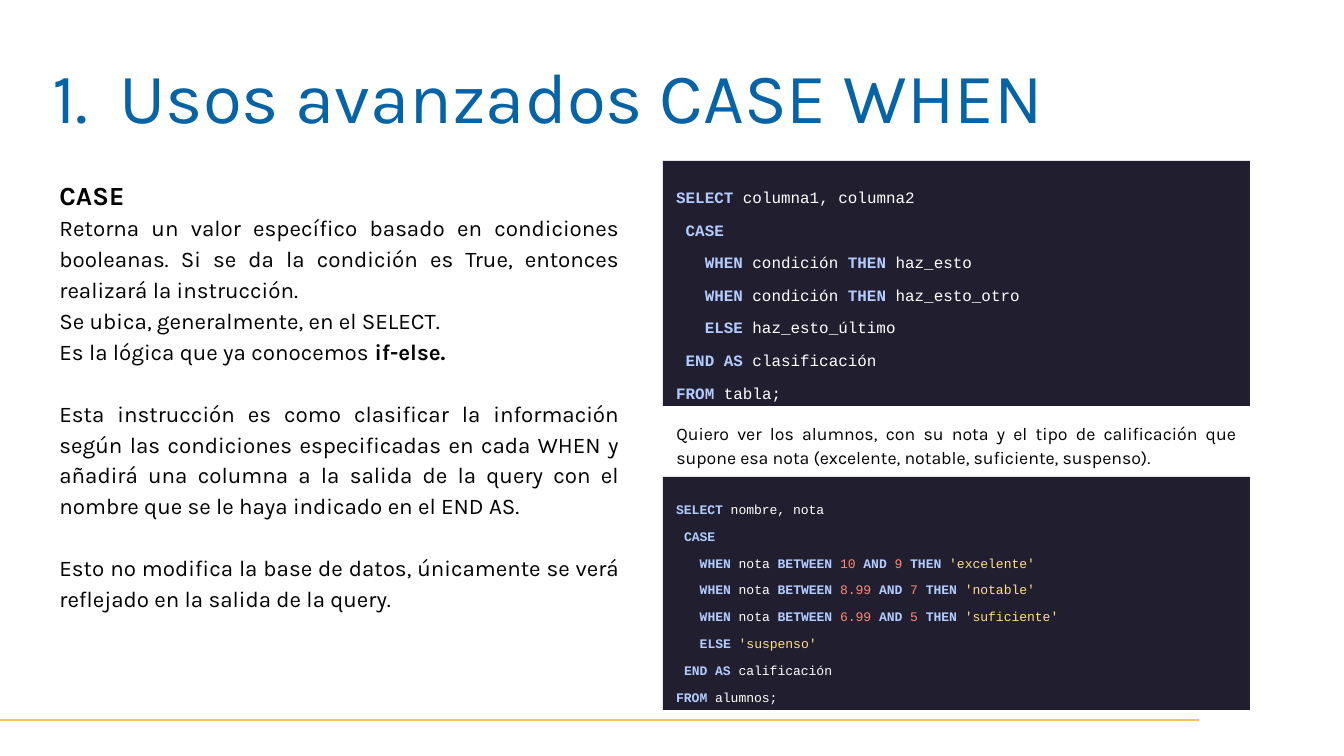
from lxml.etree import SubElement
from pptx import Presentation
from pptx.dml.color import RGBColor
from pptx.enum.shapes import MSO_CONNECTOR, MSO_SHAPE
from pptx.enum.text import MSO_ANCHOR, MSO_AUTO_SIZE, PP_ALIGN
from pptx.oxml.ns import qn
from pptx.util import Pt

PX = 914400 / 134.4
BLUE = RGBColor(0x05, 0x63, 0xA6)
GOLD = RGBColor(0xF5, 0xC2, 0x57)
BLACK = RGBColor(0, 0, 0)
WHITE = RGBColor(255, 255, 255)
NIGHT = RGBColor(0x21, 0x1E, 0x2F)
KEYWORD = RGBColor(0xB3, 0xCC, 0xFF)
NUMBER = RGBColor(0xFF, 0x89, 0x73)
STRING = RGBColor(0xFF, 0xE0, 0x83)
FONT, CODE_FONT = "Karla", "Courier New"
BODY_SPACING, CODE_SPACING = 1.15, 1.71
PARAGRAPH_GAP = 16.5

TITLE = "Usos avanzados CASE WHEN"
# Each paragraph: size, space before, runs of (text, bold)
EXPLANATION = [
    (14, 0, [("CASE", True)]),
    (12, 0, [("Retorna un valor específico basado en condiciones booleanas. Si se da "
              "la condición es True, entonces realizará la instrucción.", False)]),
    (12, 0, [("Se ubica, generalmente, en el SELECT.", False)]),
    (12, 0, [("Es la lógica que ya conocemos ", False), ("if-else.", True)]),
    (12, PARAGRAPH_GAP, [
        ("Esta instrucción es como clasificar la información según las condiciones "
         "especificadas en cada WHEN y añadirá una columna a la salida de la query "
         "con el nombre que se le haya indicado en el END AS.", False)]),
    (12, PARAGRAPH_GAP, [
        ("Esto no modifica la base de datos, únicamente se verá reflejado en la "
         "salida de la query.", False)]),
]
EXERCISE = ("Quiero ver los alumnos, con su nota y el tipo de calificación que supone "
            "esa nota (excelente, notable, suficiente, suspenso).")
# Each code line: indent in characters, text
SYNTAX = [
    (0, "SELECT columna1, columna2"),
    (1, "CASE"),
    (3, "WHEN condición THEN haz_esto"),
    (3, "WHEN condición THEN haz_esto_otro"),
    (3, "ELSE haz_esto_último"),
    (1, "END AS clasificación"),
    (0, "FROM tabla;"),
]
SOLUTION = [
    (0, "SELECT nombre, nota"),
    (1, "CASE"),
    (3, "WHEN nota BETWEEN 10 AND 9 THEN 'excelente'"),
    (3, "WHEN nota BETWEEN 8.99 AND 7 THEN 'notable'"),
    (3, "WHEN nota BETWEEN 6.99 AND 5 THEN 'suficiente'"),
    (3, "ELSE 'suspenso'"),
    (1, "END AS calificación"),
    (0, "FROM alumnos;"),
]

# Left, top, width, height in px
TITLE_BOX = (39, 39, 1220, 113)
EXPLANATION_BOX = (46, 161, 587, 465)
SYNTAX_BOX = (663, 161, 587, 245)
EXERCISE_BOX = (663, 406, 587, 74)
SOLUTION_BOX = (663, 477, 587, 233)
RULE_Y, RULE_END = 720, 1199
INSET = 13.44


def px(*lengths):
    return [round(length * PX) for length in lengths]


def prepare(shape, box):
    """Place the shape and return its text frame with common settings."""
    shape.left, shape.top, shape.width, shape.height = px(*box)
    frame = shape.text_frame
    frame.word_wrap = True
    frame.auto_size = MSO_AUTO_SIZE.NONE
    frame.vertical_anchor = MSO_ANCHOR.TOP
    inset, = px(INSET)
    frame.margin_left = frame.margin_right = inset
    frame.margin_top = frame.margin_bottom = inset
    return frame


def add_text(frame, runs, size, font=FONT, align=PP_ALIGN.LEFT, spacing=1.0,
             before=0, margin=0, indent=0, number_color=None):
    """Write one paragraph; runs are (text, bold, color)."""
    first = frame.paragraphs[0]
    paragraph = frame.add_paragraph() if first.runs else first
    paragraph.alignment = align
    paragraph.line_spacing = spacing
    paragraph.space_before, paragraph.space_after = Pt(before), Pt(0)
    properties = paragraph._p.get_or_add_pPr()
    properties.set("marL", str(int(margin)))
    properties.set("indent", str(int(indent)))
    if number_color is None:
        SubElement(properties, qn("a:buNone"))
    else:
        color = SubElement(properties, qn("a:buClr"))
        SubElement(color, qn("a:srgbClr"), val=str(number_color))
        SubElement(properties, qn("a:buFont"), typeface=font)
        SubElement(properties, qn("a:buAutoNum"), type="arabicPeriod")
    for text, bold, color in runs:
        run = paragraph.add_run()
        run.text = text
        run.font.name, run.font.size = font, Pt(size)
        run.font.bold, run.font.color.rgb = bold, color


def highlight(line):
    """Split a code line into runs coloured by the kind of each word."""
    runs = []
    for position, word in enumerate(line.split(" ")):
        if word.isupper():
            color = KEYWORD
        elif word[0].isdigit():
            color = NUMBER
        elif word[0] == "'":
            color = STRING
        else:
            color = WHITE
        runs.append((" " * (position > 0) + word, color == KEYWORD, color))
    return runs


def add_code(slide, lines, box, size):
    panel = slide.shapes.add_shape(MSO_SHAPE.RECTANGLE, *px(*box))
    panel.shadow.inherit = False
    panel.fill.solid()
    panel.fill.fore_color.rgb = NIGHT
    panel.line.fill.background()
    frame = prepare(panel, box)
    character = Pt(size) * 0.6
    for depth, line in lines:
        add_text(frame, highlight(line), size, font=CODE_FONT,
                 spacing=CODE_SPACING, margin=depth * character)


def main():
    deck = Presentation()
    deck.slide_width, deck.slide_height = px(1344, 756)
    slide = deck.slides.add_slide(deck.slide_layouts[3])
    title, explanation, exercise = slide.placeholders

    margin, indent = px(67, -68)
    add_text(prepare(title, TITLE_BOX), [(TITLE, False, BLUE)], 38,
             margin=margin, indent=indent, number_color=BLUE)

    frame = prepare(explanation, EXPLANATION_BOX)
    for size, before, runs in EXPLANATION:
        add_text(frame, [(text, bold, BLACK) for text, bold in runs], size,
                 align=PP_ALIGN.JUSTIFY, spacing=BODY_SPACING, before=before)

    add_text(prepare(exercise, EXERCISE_BOX), [(EXERCISE, False, BLACK)], 9.5,
             align=PP_ALIGN.JUSTIFY, spacing=BODY_SPACING)

    add_code(slide, SYNTAX, SYNTAX_BOX, 8.5)
    add_code(slide, SOLUTION, SOLUTION_BOX, 7)

    rule = slide.shapes.add_connector(MSO_CONNECTOR.STRAIGHT,
                                      *px(0, RULE_Y, RULE_END, RULE_Y))
    rule.line.color.rgb, rule.line.width = GOLD, Pt(0.75)
    SubElement(rule._element.spPr, qn("a:effectLst"))

    deck.save("out.pptx")


if __name__ == "__main__":
    main()
